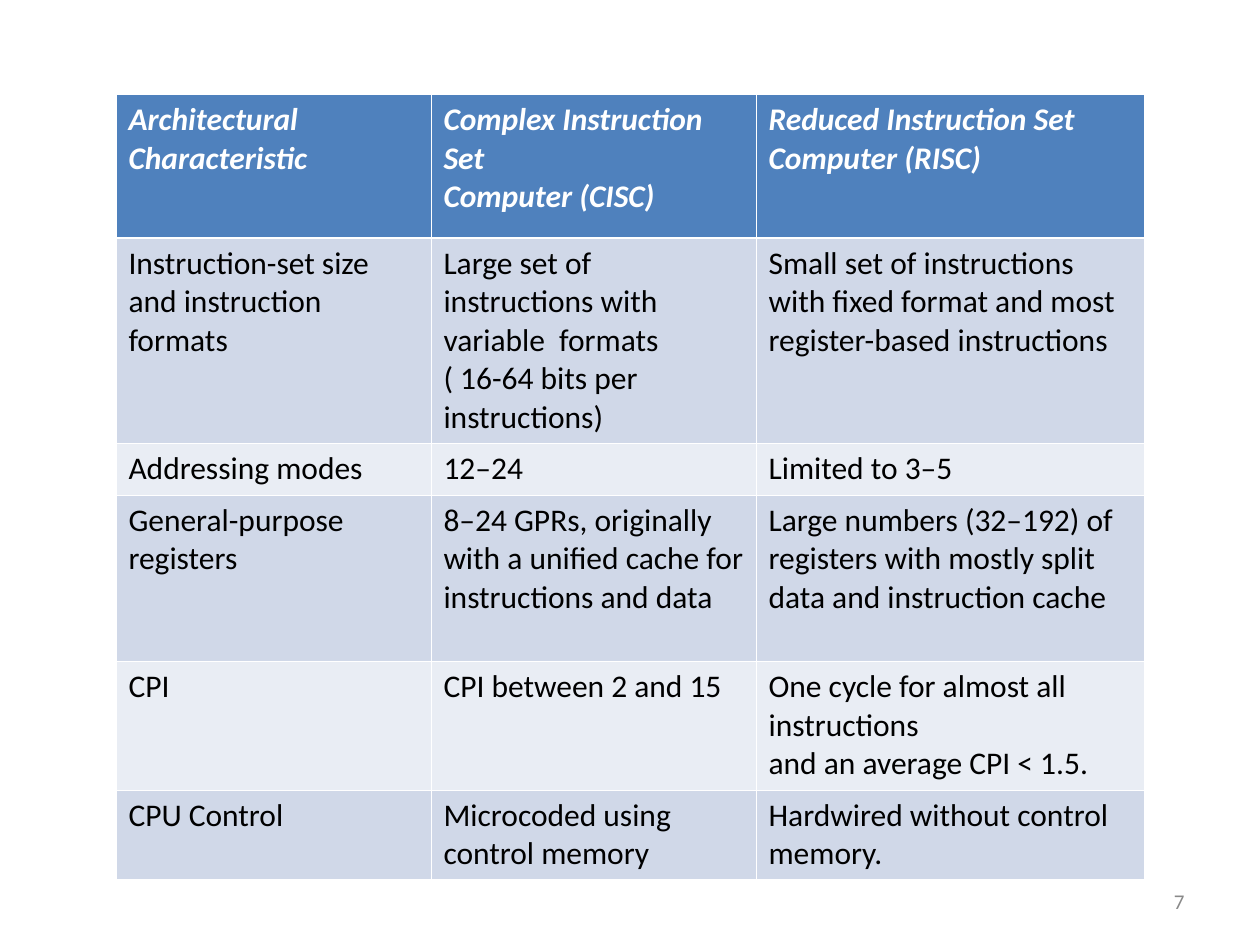
from lxml.etree import SubElement
from pptx import Presentation
from pptx.dml.color import RGBColor
from pptx.enum.text import MSO_ANCHOR as Anchor, PP_ALIGN as Align
from pptx.oxml.ns import qn
from pptx.util import Inches, Pt

COLORS = {
    "header": "4F81BD",
    "band_dark": "D0D8E8",
    "band_light": "E9EDF4",
    "border": "FFFFFF",
    "header_text": "FFFFFF",
    "body_text": "000000",
    "page_number": "898989",
}
FONT = "Calibri"
THIN, THICK = 0.45, 1.47

COLUMN_WIDTHS = [2.5, 2.58, 3.08]
ROW_HEIGHTS = [1.14, 1.63, 0.41, 1.32, 1.02, 0.71]

# A line break inside a cell starts a new paragraph
COMPARISON = [
    ["Architectural\nCharacteristic",
     "Complex Instruction Set\nComputer (CISC)",
     "Reduced Instruction Set Computer (RISC)"],
    ["Instruction-set size and instruction formats",
     "Large set of instructions with variable  formats\n( 16-64 bits per instructions)",
     "Small set of instructions with fixed format and most register-based instructions"],
    ["Addressing modes", "12–24", "Limited to 3–5"],
    ["General-purpose registers",
     "8–24 GPRs, originally with a unified cache for instructions and data",
     "Large numbers (32–192) of registers with mostly split data and instruction cache"],
    ["CPI",
     "CPI between 2 and 15",
     "One cycle for almost all instructions\nand an average CPI < 1.5."],
    ["CPU Control",
     "Microcoded using control memory",
     "Hardwired without control memory."],
]


def rgb(name):
    return RGBColor.from_string(COLORS[name])


def write_text(frame, text, size, color, emphasis=False, align=Align.LEFT):
    frame.text = text
    for paragraph in frame.paragraphs:
        paragraph.alignment = align
        font = paragraph.font
        font.name, font.size = FONT, Pt(size)
        font.bold = font.italic = emphasis
        font.color.rgb = rgb(color)


def set_borders(cell, top, bottom):
    properties = cell._tc.get_or_add_tcPr()
    for side, width in (("L", THIN), ("R", THIN), ("T", top), ("B", bottom)):
        line = SubElement(properties, qn(f"a:ln{side}"), w=str(Pt(width)))
        fill = SubElement(line, qn("a:solidFill"))
        SubElement(fill, qn("a:srgbClr"), val=COLORS["border"])


def style_cell(cell, row, text):
    is_header = row == 0
    set_borders(cell, THICK if row == 1 else THIN, THICK if is_header else THIN)
    band = "header" if is_header else "band_dark" if row % 2 else "band_light"
    cell.fill.solid()
    cell.fill.fore_color.rgb = rgb(band)
    write_text(cell.text_frame, text, 18,
               "header_text" if is_header else "body_text", emphasis=is_header)


def add_comparison_table(slide):
    table = slide.shapes.add_table(
        len(ROW_HEIGHTS), len(COLUMN_WIDTHS), Inches(0.92), Inches(0.75),
        Inches(sum(COLUMN_WIDTHS)), Inches(sum(ROW_HEIGHTS))).table
    for column, width in zip(table.columns, COLUMN_WIDTHS):
        column.width = Inches(width)
    for row, height in zip(table.rows, ROW_HEIGHTS):
        row.height = Inches(height)
    for r, texts in enumerate(COMPARISON):
        for c, text in enumerate(texts):
            style_cell(table.cell(r, c), r, text)


def add_page_number(slide, number):
    box = slide.shapes.add_textbox(Inches(7.17), Inches(6.95), Inches(2.33), Inches(0.4))
    frame = box.text_frame
    frame.word_wrap = True
    frame.vertical_anchor = Anchor.MIDDLE
    write_text(frame, number, 12, "page_number", align=Align.RIGHT)


def main():
    prs = Presentation()
    prs.slide_width, prs.slide_height = Inches(10), Inches(7.5)
    slide = prs.slides.add_slide(prs.slide_layouts[6])
    add_comparison_table(slide)
    add_page_number(slide, "7")
    prs.save("out.pptx")


if __name__ == "__main__":
    main()
